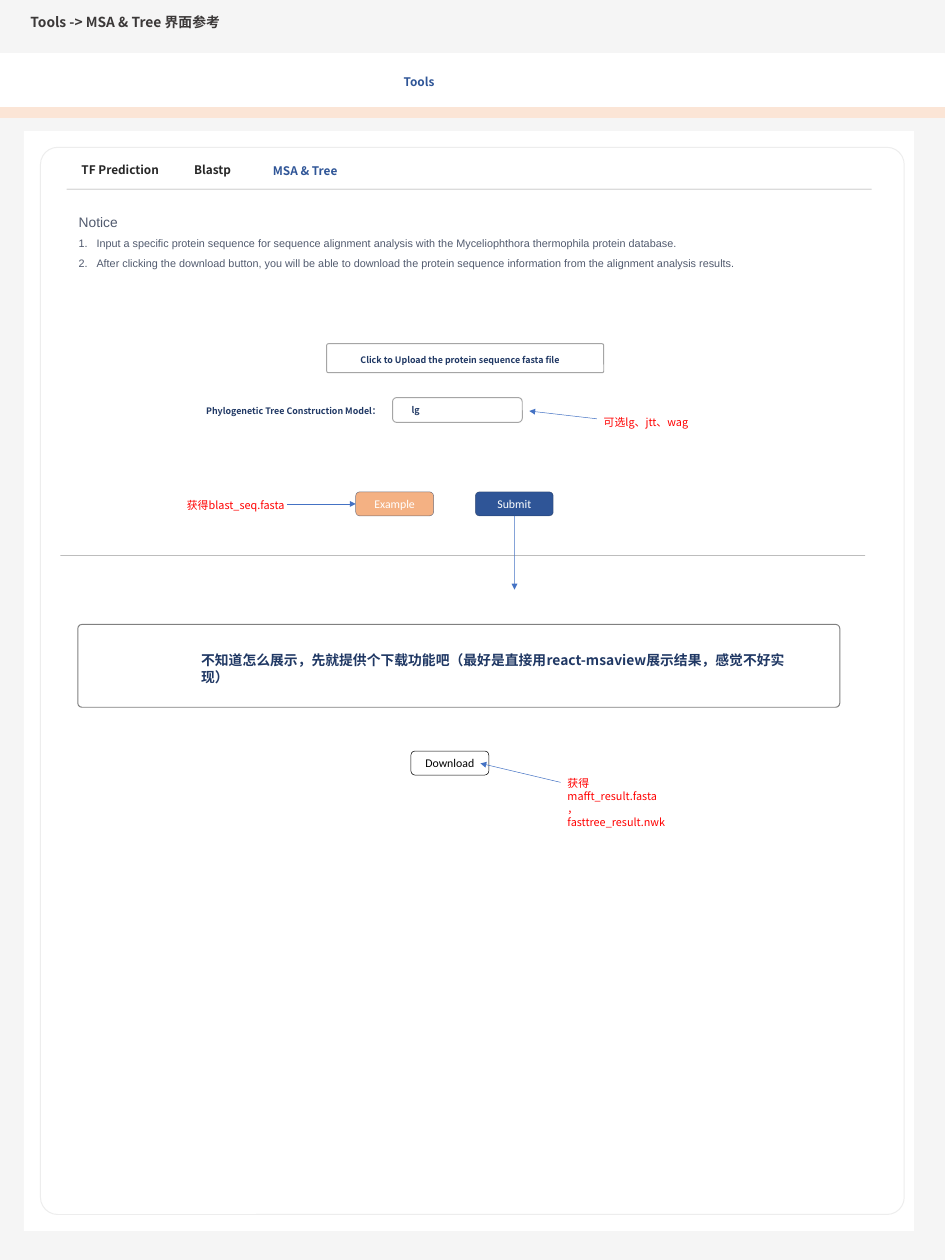
import pptx
import pptx.util
import pptx.dml.color
import pptx.enum.shapes
import pptx.enum.text
import pptx.oxml
import pptx.oxml.ns

Cm = pptx.util.Cm
Pt = pptx.util.Pt
SHAPE = pptx.enum.shapes.MSO_SHAPE
ALIGN = pptx.enum.text.PP_ALIGN
ANCHOR = pptx.enum.text.MSO_ANCHOR

COLORS = {
    "page": "F5F5F5", "white": "FFFFFF", "peach": "FBE5D6", "card": "EDEDED",
    "black": "000000", "title": "3B3838", "tab": "262626", "active": "2F5597",
    "notice": "515A6E", "navy": "203864", "edge": "1E3256", "example": "F4B183",
    "arrow": "4472C4", "red": "FF0000", "field": "A5A5A5", "result": "808080",
}
CJK = "Noto Sans CJK SC"
BUTTON_SIZE = (2.79, 0.86)


def rgb(name):
    return pptx.dml.color.RGBColor.from_string(COLORS[name])


def add_xml(parent, tag, **attributes):
    child = pptx.oxml.parse_xml(f"<a:{tag} {pptx.oxml.ns.nsdecls('a')}/>")
    for key, value in attributes.items():
        child.set(key, value)
    parent.append(child)
    return child


def style_line(line, color, width, opacity=100):
    line.color.rgb = rgb(color)
    line.width = Pt(width)
    if opacity < 100:
        fill = line._ln.find(pptx.oxml.ns.qn("a:solidFill"))
        add_xml(fill[0], "alpha", val=str(opacity * 1000))


def write(paragraph, text, size=12, font=CJK, color="navy", bold=False,
          align=None, spacing=None, numbered=False):
    run = paragraph.add_run()
    run.text = text
    run.font.size = Pt(size)
    run.font.name = font
    run.font.bold = bold
    run.font.color.rgb = rgb(color)
    add_xml(run._r.get_or_add_rPr(), "ea", typeface=font)
    if align is not None:
        paragraph.alignment = align
    if spacing:
        paragraph.line_spacing = spacing
    if numbered:
        properties = paragraph._p.get_or_add_pPr()
        properties.set("marL", str(Cm(0.64)))
        properties.set("indent", str(-Cm(0.64)))
        add_xml(properties, "buAutoNum", type="arabicPeriod")


def add_frame(slide, box, x, y, width, height):
    frame = slide.shapes.add_textbox(
        Cm(box[0] + x), Cm(box[1] + y), Cm(width), Cm(height)).text_frame
    frame.word_wrap = True
    return frame


def add_label(slide, box, x, y, width, height, text, **style):
    write(add_frame(slide, box, x, y, width, height).paragraphs[0], text, **style)


def add_block(slide, box, x, y, width, height, kind=SHAPE.ROUNDED_RECTANGLE,
              fill="white", line=None, line_width=1, opacity=100, corner=None):
    block = slide.shapes.add_shape(
        kind, Cm(box[0] + x), Cm(box[1] + y), Cm(width), Cm(height))
    block.shadow.inherit = False
    if fill:
        block.fill.solid()
        block.fill.fore_color.rgb = rgb(fill)
    else:
        block.fill.background()
    if line:
        style_line(block.line, line, line_width, opacity)
    else:
        block.line.fill.background()
    if corner:
        block.adjustments[0] = corner
    return block


def add_button(slide, box, x, y, text, fill, color, line, opacity=100):
    button = add_block(slide, box, x, y, *BUTTON_SIZE, fill=fill, line=line,
                       line_width=0.5, opacity=opacity)
    button.text_frame.vertical_anchor = ANCHOR.MIDDLE
    write(button.text_frame.paragraphs[0], text, font="Calibri", color=color,
          align=ALIGN.CENTER)
    return button


def add_line(slide, box, start, end, color="black", opacity=100, arrow=False):
    line = slide.shapes.add_connector(
        pptx.enum.shapes.MSO_CONNECTOR.STRAIGHT,
        Cm(box[0] + start[0]), Cm(box[1] + start[1]),
        Cm(box[0] + end[0]), Cm(box[1] + end[1]))
    style_line(line.line, color, 0.5, opacity)
    if arrow:
        add_xml(line.line._ln, "tailEnd", type="triangle")
    add_xml(line._element.spPr, "effectLst")
    return line


def add_rule(slide, box, x, y, width):
    add_line(slide, box, (x, y), (x + width, y), opacity=40)


def add_arrow(slide, box, start, end):
    return add_line(slide, box, start, end, color="arrow", arrow=True)


def draw_header(slide, box):
    width = box[2]
    add_block(slide, box, 0, 1.93, width, 1.93, SHAPE.RECTANGLE, line="white")
    add_block(slide, box, 0, 3.84, width, 0.38, SHAPE.RECTANGLE,
              fill="peach", line="peach")
    add_label(slide, box, 0.84, 0.38, 25.78, 0.86, "Tools -> MSA & Tree 界面参考",
              size=14, color="title", bold=True)
    add_label(slide, box, 14.22, 2.57, 5.51, 0.76, "Tools",
              color="active", bold=True)


def draw_card(slide, box):
    add_block(slide, box, -0.59, -0.58, 31.9, 39.42, SHAPE.RECTANGLE)
    add_block(slide, box, 0, 0, box[2], box[3], fill=None, line="card", corner=0.02)
    for x, y, width, text, color in (
            (1.22, 0.44, 6.27, "TF Prediction", "tab"),
            (5.26, 0.44, 2.24, "Blastp", "tab"),
            (8.08, 0.46, 3.2, "MSA & Tree", "active")):
        add_label(slide, box, x, y, width, 0.76, text, color=color, bold=True)
    add_rule(slide, box, 0.94, 1.5, 28.85)


def draw_notice(slide, box):
    frame = add_frame(slide, box, 0, 0, box[2], box[3])
    style = {"font": "Arial", "color": "notice", "spacing": 1.5}
    write(frame.paragraphs[0], "Notice", size=14, **style)
    for text in (
            "Input a specific protein sequence for sequence alignment analysis "
            "with the Myceliophthora thermophila protein database.",
            "After clicking the download button, you will be able to download "
            "the protein sequence information from the alignment analysis results."):
        write(frame.add_paragraph(), text, size=11, numbered=True, **style)


def draw_form(slide, box):
    add_block(slide, box, 9.55, 0, 9.93, 1.04, line="field", corner=0.06)
    add_block(slide, box, 11.91, 1.93, 4.65, 0.89, line="field")
    for x, y, width, text in (
            (10.51, 0.25, 8.36, "Click to Upload the protein sequence fasta file"),
            (4.98, 2.11, 7.26, "Phylogenetic Tree Construction Model："),
            (12.34, 2.06, 2.08, "lg")):
        add_label(slide, box, x, y, width, 0.64, text, size=9, bold=True)
    add_arrow(slide, box, (19.23, 2.69), (16.81, 2.41))
    add_label(slide, box, 19.23, 2.46, 4.65, 0.74, "可选lg、jtt、wag",
              size=11, color="red")

    example = add_button(slide, box, 10.59, 5.31, "Example", "example", "white",
                         "edge", opacity=60)
    submit = add_button(slide, box, 14.88, 5.31, "Submit", "active", "white",
                        "edge", opacity=60)
    add_label(slide, box, 4.29, 5.43, 4.62, 0.74, "获得blast_seq.fasta",
              size=11, color="red")
    add_arrow(slide, box, (8.13, 5.74), (10.59, 5.74)).end_connect(example, 1)
    add_rule(slide, box, 0, box[3], box[2])
    add_arrow(slide, box, (16.28, 6.17), (16.28, 8.81)).begin_connect(submit, 2)


def draw_result(slide, box):
    add_block(slide, box, 0, 0, box[2], box[3], line="result", corner=0.05)
    add_label(slide, box, 4.17, 0.86, 22.25, 0.86,
              "不知道怎么展示，先就提供个下载功能吧（最好是直接用react-msaview展示结果，感觉不好实现）",
              size=14, bold=True)
    add_button(slide, box, 11.94, 4.54, "Download", "white", "black", "black")
    add_arrow(slide, box, (17.3, 5.66), (14.43, 4.98))
    add_label(slide, box, 17.3, 5.33, 4.09, 1.68,
              "获得mafft_result.fasta，fasttree_result.nwk", size=11, color="red")


def main():
    deck = pptx.Presentation()
    deck.slide_width = Cm(33.87)
    deck.slide_height = Cm(45.16)
    slide = deck.slides.add_slide(deck.slide_layouts[6])
    slide.background.fill.solid()
    slide.background.fill.fore_color.rgb = rgb("page")
    draw_header(slide, (0, 0, 33.87, 4.22))
    draw_card(slide, (1.45, 5.28, 30.96, 38.25))
    draw_notice(slide, (2.57, 7.24, 28.7, 2.49))
    draw_form(slide, (2.16, 12.32, 28.85, 7.59))
    draw_result(slide, (2.79, 22.38, 27.31, 2.97))
    deck.save("out.pptx")


if __name__ == "__main__":
    main()
